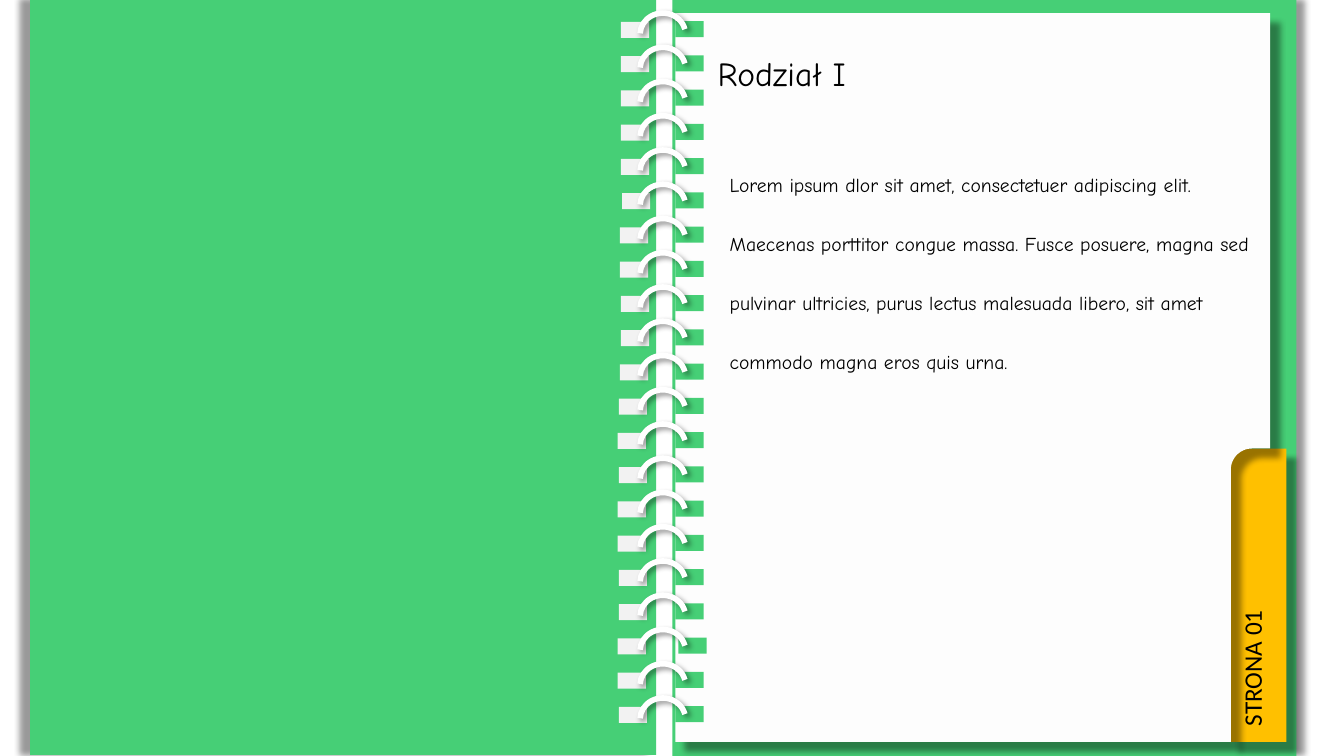
"""Build a spiral notebook slide with a chapter page and a page tab."""
import math

import lxml.etree
import pptx
import pptx.dml.color
import pptx.enum.shapes
import pptx.enum.text
import pptx.oxml.ns
import pptx.util

WIDTH = pptx.util.Inches(13.33)
HEIGHT = pptx.util.Inches(7.5)
GREEN, PAPER, YELLOW = "46CF76", "FDFDFD", "FFC000"
HOLE, RING, INK = "F2F2F2", "FFFFFF", "000000"
RING_PITCH = 4.53
HOLE_DRIFT = (0, 0, 0, 0, 0, -1, 1, 1, 0, 0, 1, 2, 3, 2, 3, 3, 2, 2, 3, 3, 2)
SHIFTED_HOLE = 18
SHAPE = pptx.enum.shapes.MSO_SHAPE


def across(share):
    """Turn a percentage of the slide width into a length."""
    return pptx.util.Emu(round(WIDTH * share / 100))


def down(share):
    """Turn a percentage of the slide height into a length."""
    return pptx.util.Emu(round(HEIGHT * share / 100))


def box(left, top, width, height):
    """Turn four slide percentages into a position and size."""
    return across(left), down(top), across(width), down(height)


def colour(hex_code):
    """Turn a hex string into a colour."""
    return pptx.dml.color.RGBColor.from_string(hex_code)


def paint(shape, fill=None, line=None, shadow=None):
    """Set the fill, the line and a (distance, angle) shadow."""
    if fill:
        shape.fill.solid()
        shape.fill.fore_color.rgb = colour(fill)
    else:
        shape.fill.background()
    if line:
        shape.line.color.rgb = colour(line)
        shape.line.width = pptx.util.Pt(4)
    else:
        shape.line.fill.background()
    shape.shadow.inherit = False
    if shadow:
        add_shadow(shape, *shadow)


def add_shadow(shape, distance, angle):
    """Add a soft black outer shadow."""
    qn = pptx.oxml.ns.qn
    effects = shape.element.spPr.find(qn("a:effectLst"))
    outer = lxml.etree.SubElement(
        effects, qn("a:outerShdw"), blurRad=str(pptx.util.Pt(4)),
        dist=str(pptx.util.Pt(distance)), dir=str(angle * 60000),
        algn="ctr", rotWithShape="0")
    black = lxml.etree.SubElement(outer, qn("a:srgbClr"), val=INK)
    lxml.etree.SubElement(black, qn("a:alpha"), val="40000")


def add_rect(shapes, place, fill, shadow=None):
    """Add a plain rectangle."""
    paint(shapes.add_shape(SHAPE.RECTANGLE, *box(*place)), fill, shadow=shadow)


def add_sheet(shapes):
    """Add the paper sheet with a rounded notch for the tab."""
    left, top, right, bottom = 50.25, 1.73, 94.5, 98.13
    notch_left, notch_top, radius_x, radius_y = 91.58, 59.33, 1.58, 2.8
    outline = [(right, top), (right, notch_top)]
    for degrees in range(270, 179, -6):
        turn = math.radians(degrees)
        outline.append((notch_left + radius_x * (1 + math.cos(turn)),
                        notch_top + radius_y * (1 + math.sin(turn))))
    outline += [(notch_left, bottom), (left, bottom)]
    builder = shapes.build_freeform(across(left), down(top))
    builder.add_line_segments([(across(x), down(y)) for x, y in outline])
    paint(builder.convert_to_shape(), PAPER, shadow=(10, 45))


def add_binding(shapes):
    """Add the punched holes and the rings of the spiral."""
    for row, drift in enumerate(HOLE_DRIFT):
        offset = row * RING_PITCH
        right_hole = 50.48 if row == SHIFTED_HOLE else 50.25
        add_rect(shapes, (46.2 - 0.08 * drift, 2.9 + offset, 2.1, 2.13), HOLE)
        add_rect(shapes, (right_hole, 2.8 + offset, 2.1, 2.13), GREEN)
        ring = shapes.add_shape(
            SHAPE.ARC, *box(47.63, 1.73 + offset, 3.38, 5.6))
        ring.adjustments[0] = 109.5
        ring.adjustments[1] = 208.26
        paint(ring, line=RING, shadow=(3, 45))


def write(shape, text, size, font, align=pptx.enum.text.PP_ALIGN.LEFT,
          spacing=1):
    """Put one formatted paragraph into a shape."""
    frame = shape.text_frame
    frame.text = text
    frame.word_wrap = True
    frame.auto_size = pptx.enum.text.MSO_AUTO_SIZE.SHAPE_TO_FIT_TEXT
    frame.vertical_anchor = pptx.enum.text.MSO_ANCHOR.TOP
    paragraph = frame.paragraphs[0]
    paragraph.alignment = align
    paragraph.line_spacing = spacing
    paragraph.font.size = pptx.util.Pt(size)
    paragraph.font.name = font
    paragraph.font.color.rgb = colour(INK)


def add_title(slide, text):
    """Move the title placeholder onto the sheet and fill it."""
    title = slide.shapes.title
    title.element.getparent().append(title.element)
    title.left, title.top, title.width, title.height = box(
        52.65, 6.27, 18.68, 6.67)
    write(title, text, 24, "Comic Neue")


def main():
    """Build and save the notebook slide."""
    deck = pptx.Presentation()
    deck.slide_width, deck.slide_height = WIDTH, HEIGHT
    slide = deck.slides.add_slide(deck.slide_layouts[5])
    shapes = slide.shapes

    add_rect(shapes, (2.25, -0.13, 46.58, 100), GREEN, (7, 180))
    add_rect(shapes, (50.03, 0, 46.43, 100), GREEN, (6, 0))
    add_rect(shapes, (91.43, 59.33, 4.28, 38.8), YELLOW, (10, 45))
    add_sheet(shapes)

    page_label = shapes.add_textbox(*box(91.65, 76.27, 3.75, 24.27))
    write(page_label, "STRONA 01", 18, "Calibri",
          pptx.enum.text.PP_ALIGN.CENTER)
    page_label.text_frame._txBody.bodyPr.set("vert", "vert270")

    add_binding(shapes.add_group_shape().shapes)
    add_title(slide, "Rodział I")
    chapter = shapes.add_textbox(*box(53.55, 17.6, 40.73, 56.27))
    write(chapter, "Lorem ipsum dlor sit amet, consectetuer adipiscing elit. "
          "Maecenas porttitor congue massa. Fusce posuere, magna sed pulvinar "
          "ultricies, purus lectus malesuada libero, sit amet commodo magna "
          "eros quis urna.", 14, "Comic Neue", spacing=2.5)
    deck.save("out.pptx")


main()
